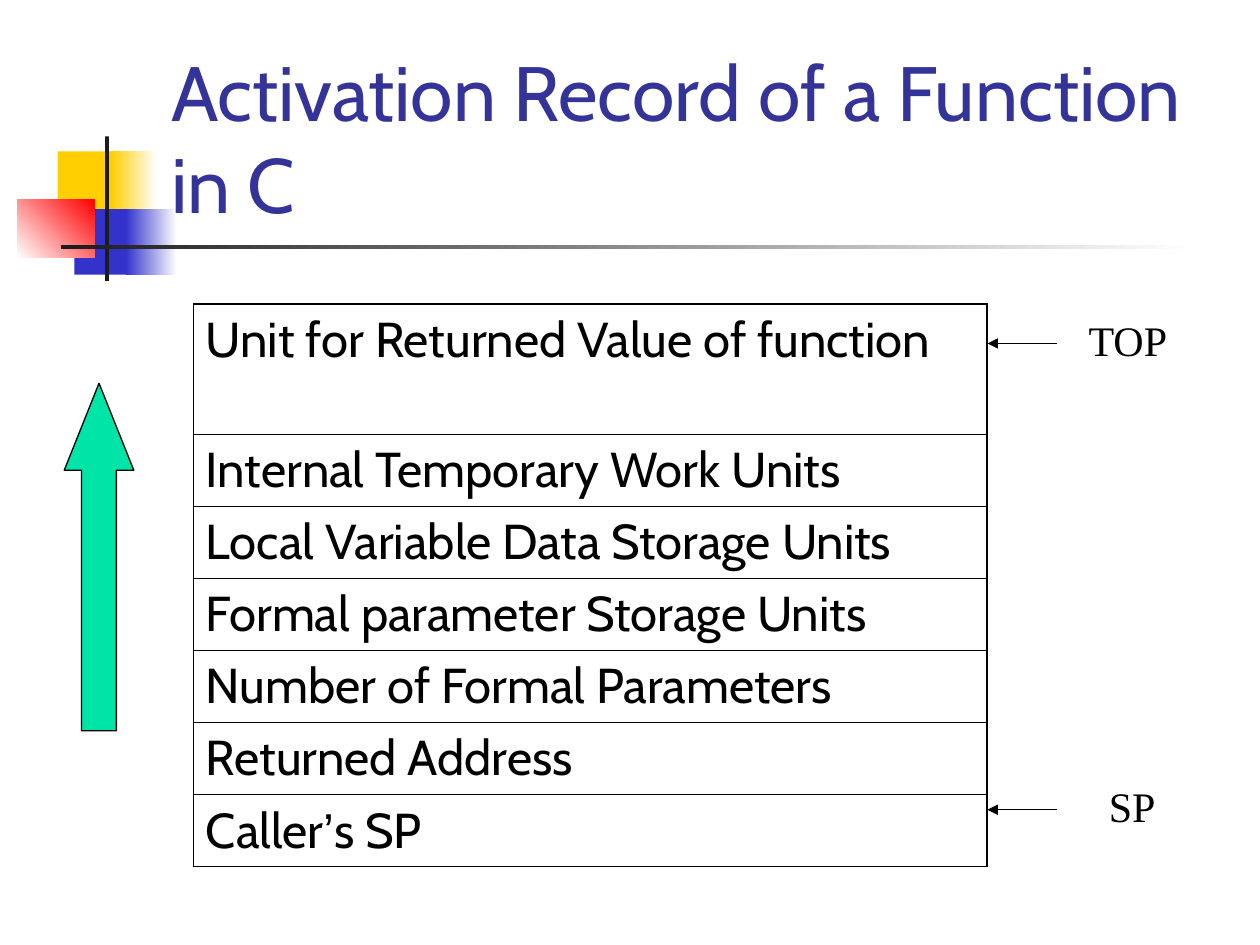
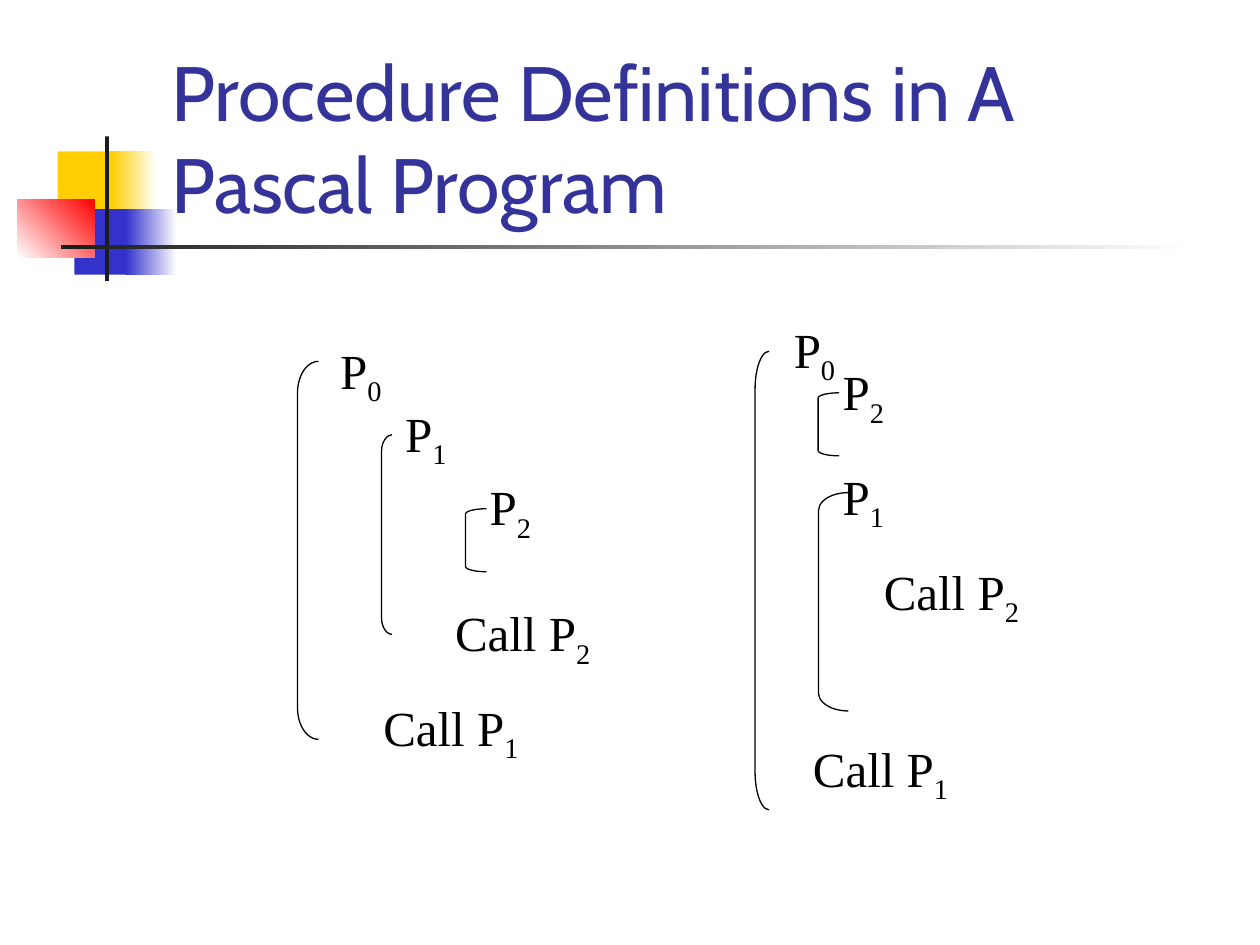
"""Build two slides on activation records and procedure definitions."""
from typing import NamedTuple, Optional

from lxml import etree
from pptx import Presentation
from pptx.dml.color import RGBColor
from pptx.enum.shapes import MSO_CONNECTOR, MSO_SHAPE
from pptx.enum.text import MSO_ANCHOR, PP_ALIGN
from pptx.oxml.ns import qn
from pptx.util import Pt

RECT, UP_ARROW, LEFT_BRACKET = MSO_SHAPE.RECTANGLE, MSO_SHAPE.UP_ARROW, MSO_SHAPE.LEFT_BRACKET
STRAIGHT = MSO_CONNECTOR.STRAIGHT
TOP, BOTTOM = MSO_ANCHOR.TOP, MSO_ANCHOR.BOTTOM
JUSTIFY = PP_ALIGN.JUSTIFY

SANS, SERIF, QUOTE_FONT = "Cabin", "Times New Roman", "Arial"
BLACK, WHITE, CHARCOAL = "000000", "FFFFFF", "1C1C1C"
YELLOW, BLUE, RED, GREEN, TITLE_BLUE = "FFCF01", "3333CC", "FF0000", "00E4A8", "333399"
HAIRLINE, THIN, THICK = 0.45, 0.75, 1.08


class Box(NamedTuple):
    left: float
    top: float
    width: float
    height: float


class Band(NamedTuple):
    box: Box
    color: str
    fade_to: Optional[str] = None
    angle: float = 0


class Run(NamedTuple):
    text: str
    font: Optional[str] = None
    subscript: bool = False


class Label(NamedTuple):
    left: float
    top: float
    text: str
    index: str


class Bracket(NamedTuple):
    box: Box
    curve: float


BANDS = [
    Band(Box(33, 86.5, 34.5, 37.5), YELLOW),
    Band(Box(63.5, 86.5, 26, 37.5), YELLOW, WHITE),
    Band(Box(42.5, 119.5, 33, 37.5), BLUE),
    Band(Box(72, 119.5, 29, 37.5), BLUE, WHITE),
    Band(Box(10, 113.75, 44, 33.5), WHITE, RED, 45),
    Band(Box(60, 78, 2.25, 82.5), CHARCOAL),
    Band(Box(34.75, 140.25, 648, 2.25), CHARCOAL, WHITE),
]

RECORD_UNITS = [
    [Run("Unit for Returned Value of function")],
    [Run("Internal Temporary Work Units")],
    [Run("Local Variable Data Storage Units")],
    [Run("Formal parameter Storage Units")],
    [Run("Number of Formal Parameters")],
    [Run("Returned Address")],
    [Run("Caller"), Run("’", QUOTE_FONT), Run("s SP")],
]
RECORD_LEFT, RECORD_TOP, RECORD_WIDTH = 110.5, 173.75, 453.5
FIRST_ROW, ROW = 74.3, 41.2

POINTERS = [("TOP", Box(615, 173.5, 64, 36), 196.25), ("SP", Box(626.5, 440, 54, 36), 462.75)]
POINTER_START, POINTER_END = 604, 564.25

PROCEDURES = [
    Label(446.5, 176.5, "P", "0"),
    Label(474.5, 260.5, "P", "1"),
    Label(474.5, 200.75, "P", "2"),
    Label(498, 314.75, "Call P", "2"),
    Label(457.5, 416, "Call P", "1"),
    Label(187.25, 188.5, "P", "0"),
    Label(224.5, 224.5, "P", "1"),
    Label(272.75, 266.5, "P", "2"),
    Label(253, 338.5, "Call P", "2"),
    Label(212, 392.5, "Call P", "1"),
]
BRACKETS = [
    Bracket(Box(431.5, 200.75, 8, 262), 21.75),
    Bracket(Box(467.75, 281.5, 17, 124.75), 10.25),
    Bracket(Box(467.5, 224.5, 12, 36), 3),
    Bracket(Box(170, 206.5, 12, 216), 18),
    Bracket(Box(218, 248.5, 6, 114), 9.75),
    Bracket(Box(266, 290.75, 12, 36), 3),
]


def rgb(value: str) -> RGBColor:
    """Turn a hex string into a colour."""
    return RGBColor.from_string(value)


def points(values):
    """Turn numbers into lengths in points."""
    return [Pt(v) for v in values]


def write(p, runs, font: str, size: float, color: str = BLACK):
    """Fill a paragraph with runs that share one font."""
    p.font.name, p.font.size = font, Pt(size)
    p.font.color.rgb = rgb(color)
    for run in runs:
        r = p.add_run()
        r.text = run.text
        if run.font:
            r.font.name = run.font
        if run.subscript:
            r._r.get_or_add_rPr().set("baseline", "-25000")


def add_text(s, box: Box, runs, font: str, size: float, color: str = BLACK,
             anchor=TOP, margins=(6, 3.6)):
    """Add a wrapping text box with the given top and bottom margins."""
    tf = s.shapes.add_textbox(*points(box)).text_frame
    tf.word_wrap = True
    tf.vertical_anchor = anchor
    tf.margin_top, tf.margin_bottom = points(margins)
    write(tf.paragraphs[0], runs, font, size, color)


def add_shape(s, kind, box: Box, line: Optional[str] = None):
    """Add a shape without shadow, outlined if a colour is given."""
    sp = s.shapes.add_shape(kind, *points(box))
    sp.shadow.inherit = False
    if line:
        sp.line.color.rgb = rgb(line)
        sp.line.width = Pt(THIN)
    else:
        sp.line.fill.background()
    return sp


def add_band(s, band: Band):
    """Draw one solid or fading rectangle of the slide decoration."""
    fill = add_shape(s, RECT, band.box).fill
    if band.fade_to:
        fill.gradient()
        fill.gradient_angle = band.angle
        for stop, color in zip(fill.gradient_stops, (band.color, band.fade_to)):
            stop.color.rgb = rgb(color)
    else:
        fill.solid()
        fill.fore_color.rgb = rgb(band.color)


def add_slide(prs, title: str):
    """Add a slide with the shared decoration and title."""
    s = prs.slides.add_slide(prs.slide_layouts[6])
    for band in BANDS:
        add_band(s, band)
    add_text(s, Box(90.75, 16.5, 613.5, 115.25), [Run(title)], SANS, 44, TITLE_BLUE,
             BOTTOM, (1, 1))
    return s


def add_border(cell, side: str, width: float):
    """Draw one black side of a table cell."""
    ln = etree.SubElement(cell._tc.get_or_add_tcPr(), qn(f"a:ln{side}"), w=str(Pt(width)))
    fill = etree.SubElement(ln, qn("a:solidFill"))
    etree.SubElement(fill, qn("a:srgbClr"), val=BLACK)


def add_record(s):
    """Draw the activation record as a table of one column."""
    heights = [FIRST_ROW] + [ROW] * (len(RECORD_UNITS) - 1)
    box = Box(RECORD_LEFT, RECORD_TOP, RECORD_WIDTH, sum(heights))
    table = s.shapes.add_table(len(heights), 1, *points(box)).table
    table.first_row = table.horz_banding = False
    last = len(heights) - 1
    for i, (runs, height) in enumerate(zip(RECORD_UNITS, heights)):
        table.rows[i].height = Pt(height)
        cell = table.cell(i, 0)
        add_border(cell, "L", THICK)
        add_border(cell, "R", THICK)
        add_border(cell, "T", THICK if i == 0 else HAIRLINE)
        add_border(cell, "B", THICK if i == last else HAIRLINE)
        cell.fill.background()
        p = cell.text_frame.paragraphs[0]
        p.alignment = JUSTIFY
        write(p, runs, SANS, 28)


def add_pointer(s, y: float):
    """Draw an arrow pointing left at the record."""
    line = s.shapes.add_connector(STRAIGHT, *points((POINTER_START, y, POINTER_END, y)))
    line.line.color.rgb = rgb(BLACK)
    line.line.width = Pt(THIN)
    etree.SubElement(line.line._get_or_add_ln(), qn("a:tailEnd"), type="triangle")
    etree.SubElement(line._element.spPr, qn("a:effectLst"))


def build_record_slide(prs):
    """Build the slide on the activation record."""
    s = add_slide(prs, "Activation Record of a Function in C")
    arrow = add_shape(s, UP_ARROW, Box(36.75, 219, 39.75, 198.5), BLACK)
    arrow.adjustments[0], arrow.adjustments[1] = 0.5, 1.25
    arrow.fill.solid()
    arrow.fill.fore_color.rgb = rgb(GREEN)
    add_record(s)
    for name, box, y in POINTERS:
        add_text(s, box, [Run(name)], SERIF, 24)
        add_pointer(s, y)


def build_procedure_slide(prs):
    """Build the slide on nested procedures."""
    s = add_slide(prs, "Procedure Definitions in A Pascal Program")
    for label in PROCEDURES:
        width = 44 if label.text == "P" else 105
        add_text(s, Box(label.left, label.top, width, 45.5),
                 [Run(label.text), Run(label.index, subscript=True)], SERIF, 28)
    for bracket in BRACKETS:
        sp = add_shape(s, LEFT_BRACKET, bracket.box, BLACK)
        sp.adjustments[0] = bracket.curve / bracket.box.width
        sp.fill.background()


def main():
    """Build and save the presentation."""
    prs = Presentation()
    prs.slide_width, prs.slide_height = Pt(720), Pt(540)
    build_record_slide(prs)
    build_procedure_slide(prs)
    prs.save("out.pptx")


if __name__ == "__main__":
    main()
